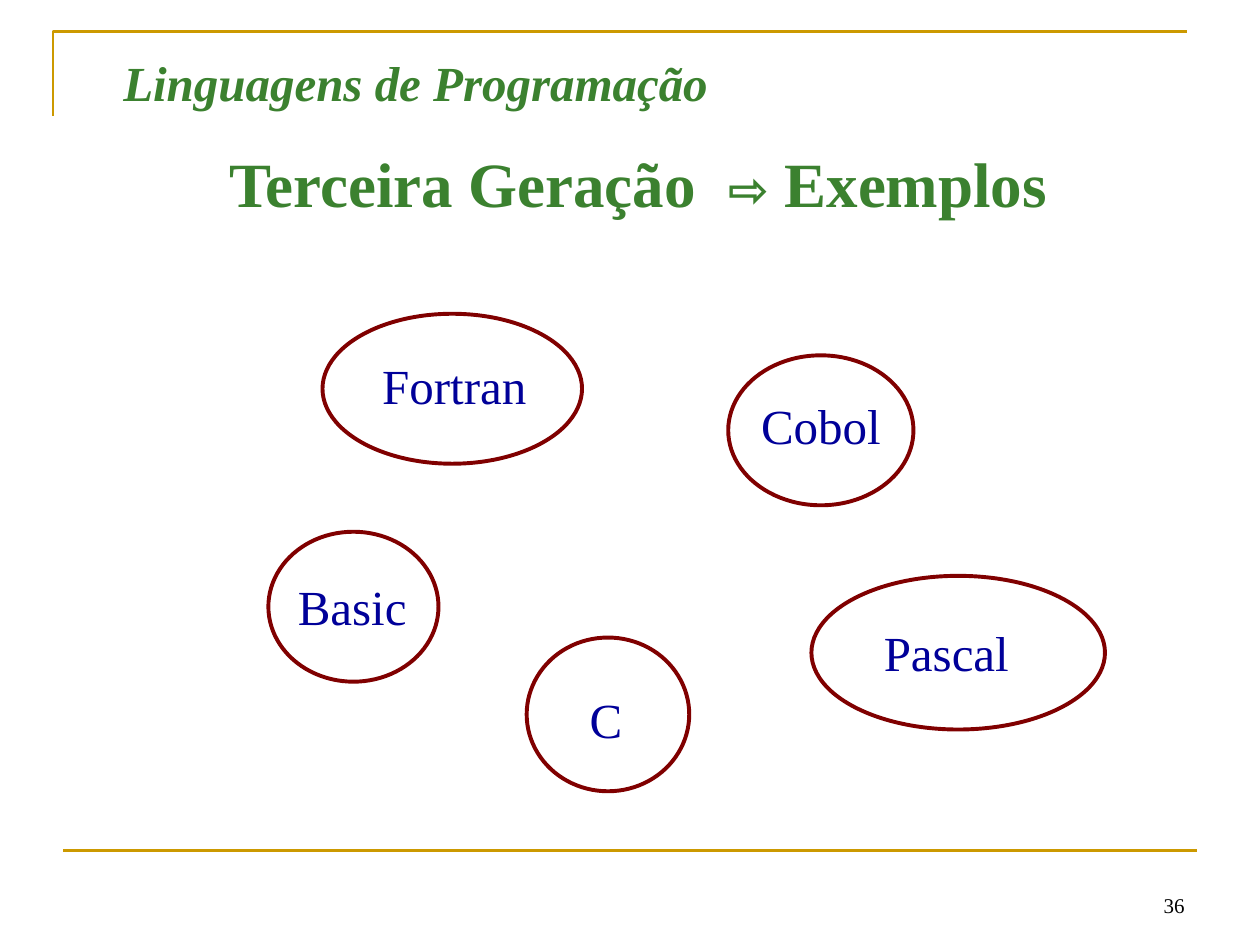
from dataclasses import dataclass

from lxml.etree import SubElement
from pptx import Presentation
from pptx.dml.color import RGBColor
from pptx.enum.shapes import MSO_CONNECTOR as Connector, MSO_SHAPE as Shape
from pptx.enum.text import MSO_ANCHOR as Anchor, PP_ALIGN as Align
from pptx.oxml.ns import qn
from pptx.util import Inches, Pt


@dataclass(frozen=True)
class Theme:
    font: str = "Times New Roman"
    symbol_font: str = "Roboto"
    gold: RGBColor = RGBColor(0xCC, 0x99, 0x00)
    green: RGBColor = RGBColor(0x3B, 0x81, 0x2F)
    navy: RGBColor = RGBColor(0x00, 0x00, 0x99)
    maroon: RGBColor = RGBColor(0x80, 0x00, 0x00)
    black: RGBColor = RGBColor(0x00, 0x00, 0x00)
    heading_size: int = 36
    body_size: int = 28
    number_size: int = 12
    rule_width: float = 1.5
    outline_width: float = 2.25


THEME = Theme()

# Language, ellipse box, label box (left, top, width, height in inches)
LANGUAGES = [
    ("Basic", (2.13, 4.22, 1.35, 1.19), (2.15, 4.53, 1.29, 0.57)),
    ("Cobol", (5.78, 2.82, 1.47, 1.19), (5.94, 3.09, 1.15, 0.57)),
    ("Pascal", (6.44, 4.57, 2.33, 1.22), (6.67, 4.89, 1.68, 0.57)),
    ("Fortran", (2.56, 2.49, 2.06, 1.19), (2.93, 2.77, 1.35, 0.57)),
    ("C", (4.18, 5.06, 1.29, 1.22), (4.58, 5.42, 0.46, 0.57)),
]


def inches(values):
    return [Inches(value) for value in values]


def set_line(shape, color, width):
    shape.line.color.rgb = color
    shape.line.width = Pt(width)


def add_text(slide, box, runs, align=Align.LEFT, anchor=Anchor.TOP, **common):
    """Add one paragraph; each run is (text, its own font values)."""
    frame = slide.shapes.add_textbox(*inches(box)).text_frame
    frame.word_wrap = True
    frame.vertical_anchor = anchor
    paragraph = frame.paragraphs[0]
    paragraph.alignment = align
    for text, own in runs:
        run = paragraph.add_run()
        run.text = text
        values = {"name": THEME.font, "size": THEME.body_size, **common, **own}
        run.font.color.rgb = values.pop("color")
        values["size"] = Pt(values["size"])
        for name, value in values.items():
            setattr(run.font, name, value)


def add_corner(slide, points):
    start, *rest = [inches(point) for point in points]
    builder = slide.shapes.build_freeform(*start)
    builder.add_line_segments(rest, close=False)
    corner = builder.convert_to_shape()
    corner.shadow.inherit = False
    corner.fill.background()
    set_line(corner, THEME.gold, THEME.rule_width)


def add_rule(slide, start, end):
    rule = slide.shapes.add_connector(
        Connector.STRAIGHT, *inches(start), *inches(end))
    set_line(rule, THEME.gold, THEME.rule_width)
    SubElement(rule.element.spPr, qn("a:effectLst"))


def add_ellipse(slide, box):
    ellipse = slide.shapes.add_shape(Shape.OVAL, *inches(box))
    ellipse.shadow.inherit = False
    ellipse.fill.background()
    set_line(ellipse, THEME.maroon, THEME.outline_width)


def main():
    presentation = Presentation()
    presentation.slide_width, presentation.slide_height = inches((10, 7.5))
    slide = presentation.slides.add_slide(presentation.slide_layouts[6])

    add_corner(slide, [(0.42, 0.92), (0.42, 0.25), (9.42, 0.25)])
    add_rule(slide, (0.5, 6.75), (9.5, 6.75))
    add_text(slide, (7.17, 6.83, 2.33, 0.5), [("36", {})], Align.RIGHT,
             Anchor.BOTTOM, size=THEME.number_size, color=THEME.black)

    heading = [
        ("Terceira Geração  ", {}),
        ("⇨", {"name": THEME.symbol_font, "size": THEME.body_size}),
        (" Exemplos", {}),
    ]
    add_text(slide, (0.86, 1.1, 8.41, 0.7), heading, Align.CENTER,
             size=THEME.heading_size, color=THEME.green, bold=True)
    add_text(slide, (0.88, 0.37, 8.41, 0.57),
             [("Linguagens de Programação", {})],
             color=THEME.green, bold=True, italic=True)

    for language, ellipse_box, label_box in LANGUAGES:
        add_ellipse(slide, ellipse_box)
        add_text(slide, label_box, [(language, {})], Align.CENTER,
                 color=THEME.navy)

    presentation.save("out.pptx")


if __name__ == "__main__":
    main()
